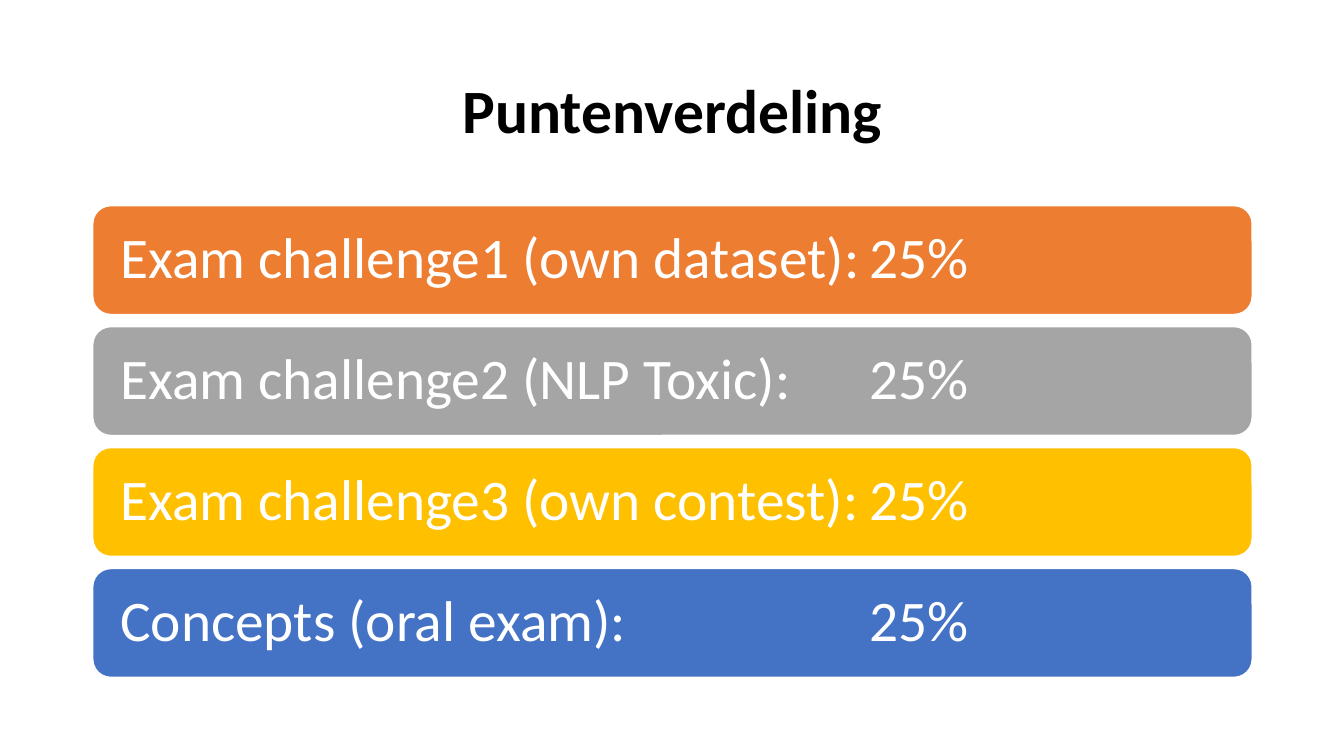
from dataclasses import dataclass

from lxml import etree
from pptx import Presentation
from pptx.dml.color import RGBColor
from pptx.enum.shapes import MSO_SHAPE
from pptx.enum.text import MSO_ANCHOR, PP_ALIGN
from pptx.oxml.ns import qn
from pptx.util import Inches, Pt

ROUNDED = MSO_SHAPE.ROUNDED_RECTANGLE
MIDDLE = MSO_ANCHOR.MIDDLE
LEFT = PP_ALIGN.LEFT
CENTER = PP_ALIGN.CENTER

SLIDE_WIDTH, SLIDE_HEIGHT = Inches(13.33), Inches(7.5)
MARGIN = Inches(0.92)
CONTENT_WIDTH = Inches(11.5)
TITLE_TOP, TITLE_HEIGHT = Inches(0.4), Inches(1.45)
FIRST_ROW_TOP = Inches(2.04)
ROW_HEIGHT, ROW_GAP = Inches(1.08), Inches(0.12)
ROW_PITCH = ROW_HEIGHT + ROW_GAP
ROW_INSET = Inches(0.22)
SHARE_TAB = Inches(7.43)


@dataclass(frozen=True)
class Theme:
    font: str = "Calibri"
    title_size: int = 44
    row_size: int = 41
    ink: str = "000000"
    paper: str = "FFFFFF"
    row_fills: tuple = ("ED7D31", "A5A5A5", "FFC000", "4472C4")


THEME = Theme()

GRADING = (
    ("Exam challenge1 (own dataset):", "25%"),
    ("Exam challenge2 (NLP Toxic):", "25%"),
    ("Exam challenge3 (own contest):", "25%"),
    ("Concepts (oral exam):", "25%"),
)


def apply_format(target, values):
    for attribute, value in values.items():
        setattr(target, attribute, value)


def write_line(paragraph, wording, size, color, align, bold=False):
    apply_format(paragraph, {"alignment": align, "line_spacing": 0.9})
    run = paragraph.add_run()
    run.text = wording
    apply_format(run.font, {"name": THEME.font, "size": Pt(size), "bold": bold})
    run.font.color.rgb = RGBColor.from_string(color)


def add_share_tab(paragraph):
    tabs = etree.SubElement(paragraph._p.get_or_add_pPr(), qn("a:tabLst"))
    etree.SubElement(tabs, qn("a:tab"), pos=str(SHARE_TAB), algn="l")


def add_title(slide, wording):
    title = slide.shapes.add_textbox(MARGIN, TITLE_TOP, CONTENT_WIDTH, TITLE_HEIGHT)
    frame = title.text_frame
    apply_format(frame, {"word_wrap": True, "vertical_anchor": MIDDLE})
    write_line(frame.paragraphs[0], wording, THEME.title_size, THEME.ink, CENTER, True)


def add_grading_row(slide, index, component, share):
    top = FIRST_ROW_TOP + index * ROW_PITCH
    bar = slide.shapes.add_shape(ROUNDED, MARGIN, top, CONTENT_WIDTH, ROW_HEIGHT)
    bar.shadow.inherit = False
    bar.fill.solid()
    bar.fill.fore_color.rgb = RGBColor.from_string(THEME.row_fills[index])
    bar.line.color.rgb = RGBColor.from_string(THEME.paper)
    bar.line.width = Pt(1)
    frame = bar.text_frame
    apply_format(frame, {
        "word_wrap": True,
        "vertical_anchor": MIDDLE,
        "margin_left": ROW_INSET,
        "margin_right": ROW_INSET,
        "margin_top": 0,
        "margin_bottom": 0,
    })
    paragraph = frame.paragraphs[0]
    add_share_tab(paragraph)
    write_line(paragraph, f"{component}\t{share}", THEME.row_size, THEME.paper, LEFT)


def main():
    presentation = Presentation()
    apply_format(presentation, {"slide_width": SLIDE_WIDTH, "slide_height": SLIDE_HEIGHT})
    slide = presentation.slides.add_slide(presentation.slide_layouts[6])
    add_title(slide, "Puntenverdeling")
    for index, (component, share) in enumerate(GRADING):
        add_grading_row(slide, index, component, share)
    presentation.save("out.pptx")


if __name__ == "__main__":
    main()
